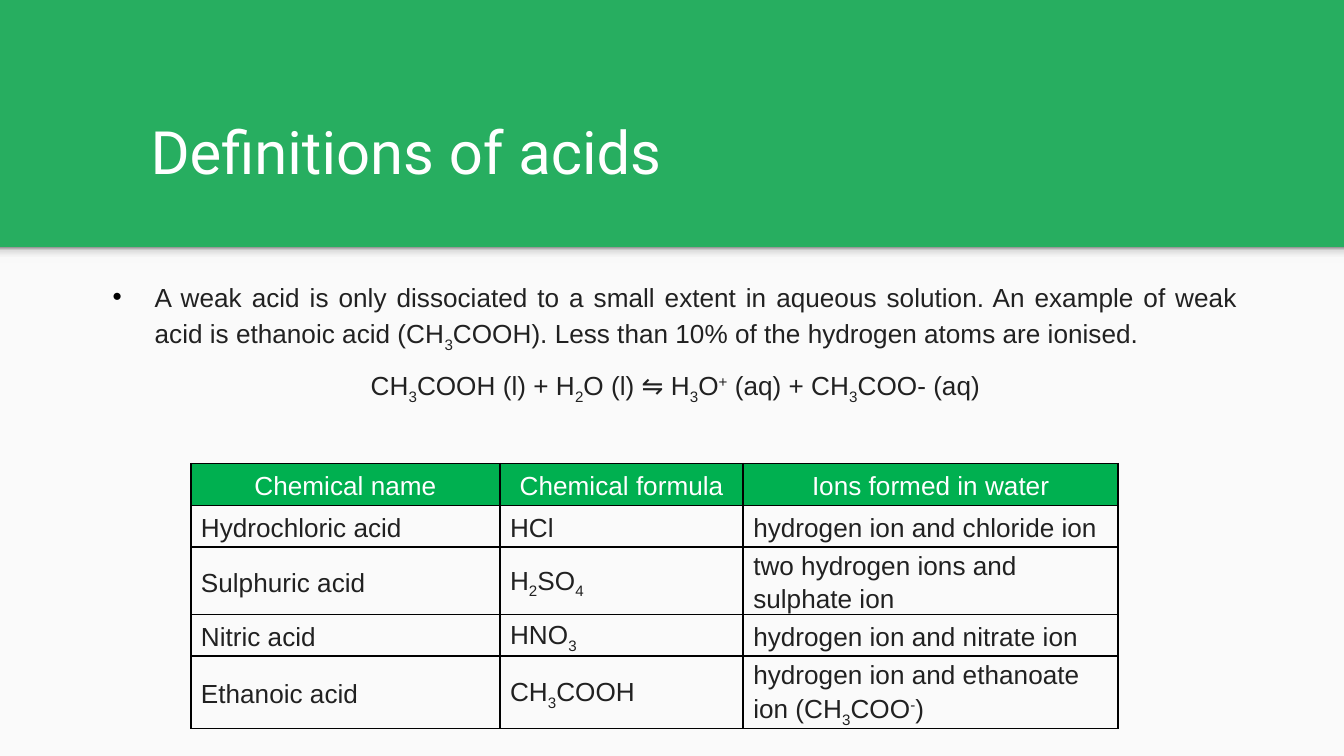
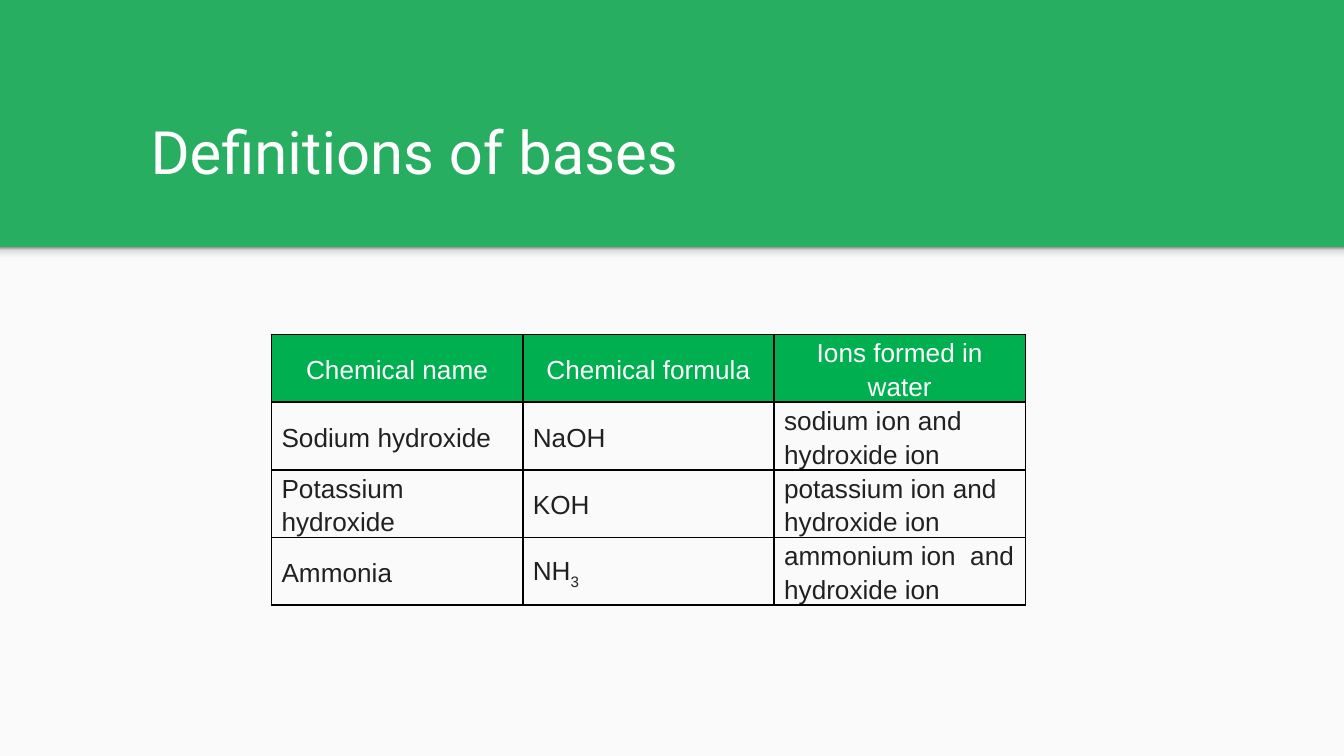
from lxml import etree
from pptx import Presentation
from pptx.dml.color import RGBColor
from pptx.enum.shapes import MSO_SHAPE as Shape
from pptx.enum.text import MSO_ANCHOR as Anchor, MSO_AUTO_SIZE as AutoSize, PP_ALIGN as Align
from pptx.oxml.ns import qn
from pptx.util import Inches, Pt

WIDTH = Inches(10)
HEIGHT = WIDTH * 9 // 16
BAND_BOTTOM = Inches(1.84)
GREEN = RGBColor(0x27, 0xAE, 0x60)
HEADER_GREEN = RGBColor(0x00, 0xB0, 0x50)
PAPER = RGBColor(0xFA, 0xFA, 0xFA)
INK = RGBColor(0x21, 0x21, 0x21)
WHITE = RGBColor(0xFF, 0xFF, 0xFF)
BLACK = RGBColor(0x00, 0x00, 0x00)
EDGE_STOPS = [
    (0, RGBColor(0xF9, 0xF9, 0xF9)),
    (36, RGBColor(0xF9, 0xF9, 0xF9)),
    (80, RGBColor(0xDE, 0xDE, 0xDE)),
    (100, RGBColor(0x99, 0x99, 0x99)),
]

TITLE_FONT = {"name": "Roboto", "size": Pt(32)}
BODY_FONT = {"name": "Arial", "size": Pt(14)}
BOX_FRAME = {
    "word_wrap": True,
    "auto_size": AutoSize.NONE,
    **{f"margin_{side}": Inches(0.1) for side in ("left", "top", "right", "bottom")},
}
CELL_FRAME = {
    "margin_left": Pt(5.4),
    "margin_right": Pt(5.4),
    "margin_top": 0,
    "margin_bottom": 0,
    "vertical_anchor": Anchor.MIDDLE,
}
SHIFTS = {"_": "-25000", "^": "30000"}

HEADINGS = ["Chemical name", "Chemical formula", "Ions formed in water"]
ACIDS = [
    ["Hydrochloric acid", "HCl", "hydrogen ion and chloride ion"],
    ["Sulphuric acid", "H_2SO_4", "two hydrogen ions and sulphate ion"],
    ["Nitric acid", "HNO_3", "hydrogen ion and nitrate ion"],
    ["Ethanoic acid", "CH_3COOH", "hydrogen ion and ethanoate ion (CH_3COO^-)"],
]
BASES = [
    ["Sodium hydroxide", "NaOH", "sodium ion and hydroxide ion"],
    ["Potassium hydroxide", "KOH", "potassium ion and hydroxide ion"],
    ["Ammonia", "NH_3", "ammonium ion  and hydroxide ion"],
]
WEAK_ACID = (
    "A weak acid is only dissociated to a small extent in aqueous solution. "
    "An example of weak acid is ethanoic acid (CH_3COOH). "
    "Less than 10% of the hydrogen atoms are ionised."
)
EQUATION = "CH_3COOH (l) + H_2O (l) ⇋ H_3O^+ (aq) + CH_3COO- (aq)"


def apply(target, values):
    for name, value in values.items():
        setattr(target, name, value)


def add_color(parent, color):
    solid = etree.SubElement(parent, qn("a:srgbClr"))
    solid.set("val", str(color))


def split_formula(text):
    """Yield (text, baseline) pieces; _ lowers and ^ raises the next character."""
    plain, chars = "", iter(text)
    for char in chars:
        if char in SHIFTS:
            if plain:
                yield plain, None
            yield next(chars), SHIFTS[char]
            plain = ""
        else:
            plain += char
    if plain:
        yield plain, None


def write(para, text, color=INK, **layout):
    apply(para, layout)
    for piece, baseline in split_formula(text):
        span = para.add_run()
        span.text = piece
        apply(span.font, BODY_FONT)
        span.font.color.rgb = color
        if baseline:
            span._r.get_or_add_rPr().set("baseline", baseline)


def add_bullet(para, indent):
    props = para._p.get_or_add_pPr()
    props.set("marL", str(indent))
    props.set("indent", str(-indent))
    add_color(etree.SubElement(props, qn("a:buClr")), BLACK)
    etree.SubElement(props, qn("a:buFont")).set("typeface", "Arial")
    etree.SubElement(props, qn("a:buChar")).set("char", "•")


def add_panel(page, height):
    """Add a full-width borderless rectangle below the title band."""
    panel = page.shapes.add_shape(Shape.RECTANGLE, 0, BAND_BOTTOM, WIDTH, height)
    panel.shadow.inherit = False
    panel.line.fill.background()
    return panel


def add_page(deck, title):
    page = deck.slides.add_slide(deck.slide_layouts[5])
    paper = add_panel(page, HEIGHT - BAND_BOTTOM)
    paper.fill.solid()
    paper.fill.fore_color.rgb = PAPER

    edge = add_panel(page, Inches(0.12))
    edge.fill.gradient()
    edge.fill.gradient_angle = 90
    stops = edge._element.spPr.find(".//" + qn("a:gsLst"))
    for stop in list(stops):
        stops.remove(stop)
    for position, color in EDGE_STOPS:
        stop = etree.SubElement(stops, qn("a:gs"))
        stop.set("pos", str(position * 1000))
        add_color(stop, color)

    box = page.shapes.title
    apply(box, {"left": Inches(1.02), "top": Inches(0.65),
                "width": Inches(6.9), "height": Inches(0.84)})
    apply(box.text_frame, {**BOX_FRAME, "vertical_anchor": Anchor.BOTTOM})
    para = box.text_frame.paragraphs[0]
    para.text, para.alignment = title, Align.LEFT
    apply(para.runs[0].font, TITLE_FONT)
    para.runs[0].font.color.rgb = WHITE
    return page


def add_weak_acid_text(page):
    box = page.shapes.add_textbox(Inches(0.74), Inches(1.96), Inches(8.57), Inches(2.73))
    frame = box.text_frame
    apply(frame, BOX_FRAME)
    para = frame.paragraphs[0]
    add_bullet(para, Pt(22.5))
    write(para, WEAK_ACID, alignment=Align.JUSTIFY, line_spacing=1.14)
    write(frame.add_paragraph(), EQUATION, alignment=Align.CENTER,
          line_spacing=1.14, space_before=Pt(6))


def add_borders(cell):
    props = cell._tc.get_or_add_tcPr()
    for index, side in enumerate(("lnL", "lnR", "lnT", "lnB")):
        line = etree.Element(qn(f"a:{side}"), w=str(Pt(1)))
        add_color(etree.SubElement(line, qn("a:solidFill")), BLACK)
        props.insert(index, line)


def add_ion_table(page, left, top, widths, row_height, body):
    rows = [HEADINGS] + body
    table = page.shapes.add_table(
        len(rows), len(widths), Inches(left), Inches(top),
        Inches(sum(widths)), Inches(row_height * len(rows))).table
    apply(table, {"first_row": False, "horz_banding": False})
    for column, width in zip(table.columns, widths):
        column.width = Inches(width)
    for r, row in enumerate(rows):
        for c, text in enumerate(row):
            cell = table.cell(r, c)
            apply(cell, CELL_FRAME)
            if r == 0:
                cell.fill.solid()
                cell.fill.fore_color.rgb = HEADER_GREEN
            else:
                cell.fill.background()
            add_borders(cell)
            write(cell.text_frame.paragraphs[0], text,
                  color=INK if r else WHITE,
                  alignment=Align.LEFT if r else Align.CENTER, line_spacing=1.15)


def main():
    deck = Presentation()
    apply(deck, {"slide_width": WIDTH, "slide_height": HEIGHT})
    background = deck.slide_master.background.fill
    background.solid()
    background.fore_color.rgb = GREEN

    acids = add_page(deck, "Definitions of acids")
    add_weak_acid_text(acids)
    add_ion_table(acids, 1.42, 3.45, [2.3, 1.81, 2.79], 0.31, ACIDS)

    bases = add_page(deck, "Definitions of bases")
    add_ion_table(bases, 2.02, 2.49, [1.87] * 3, 0.5, BASES)
    deck.save("out.pptx")


if __name__ == "__main__":
    main()
